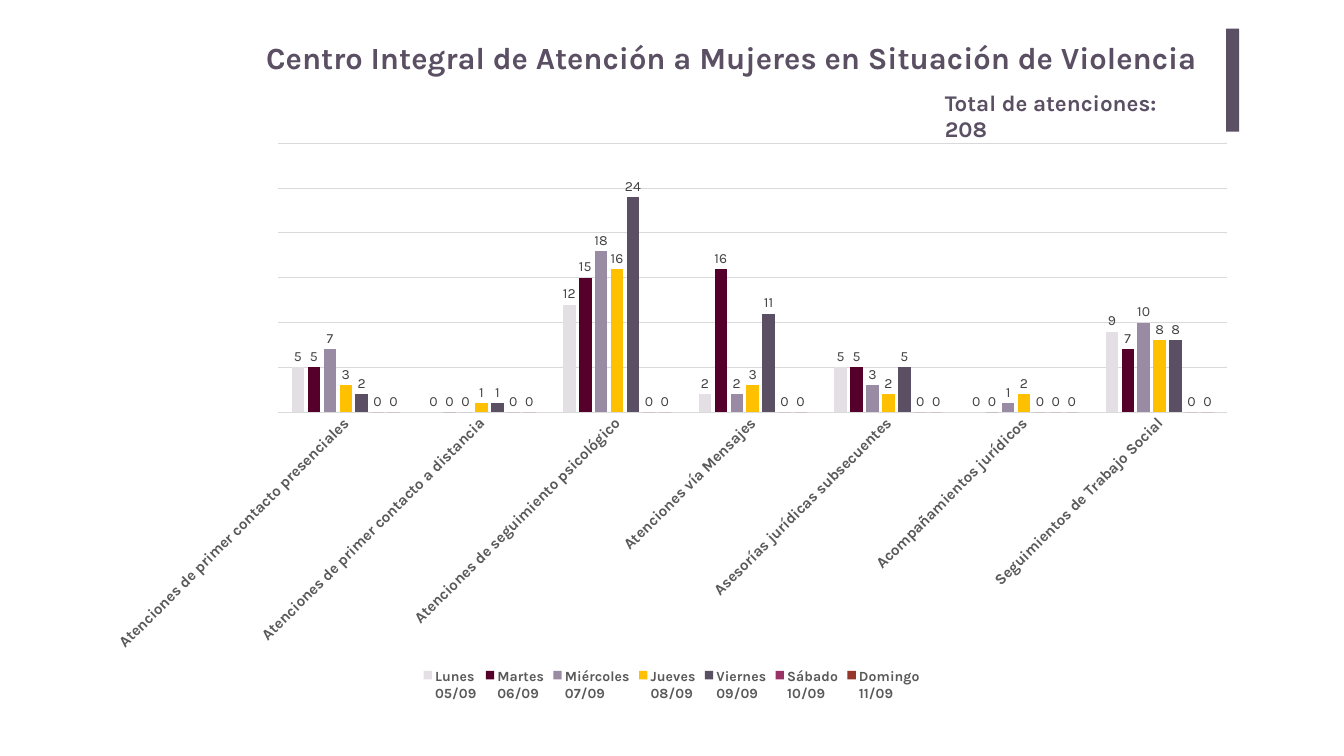
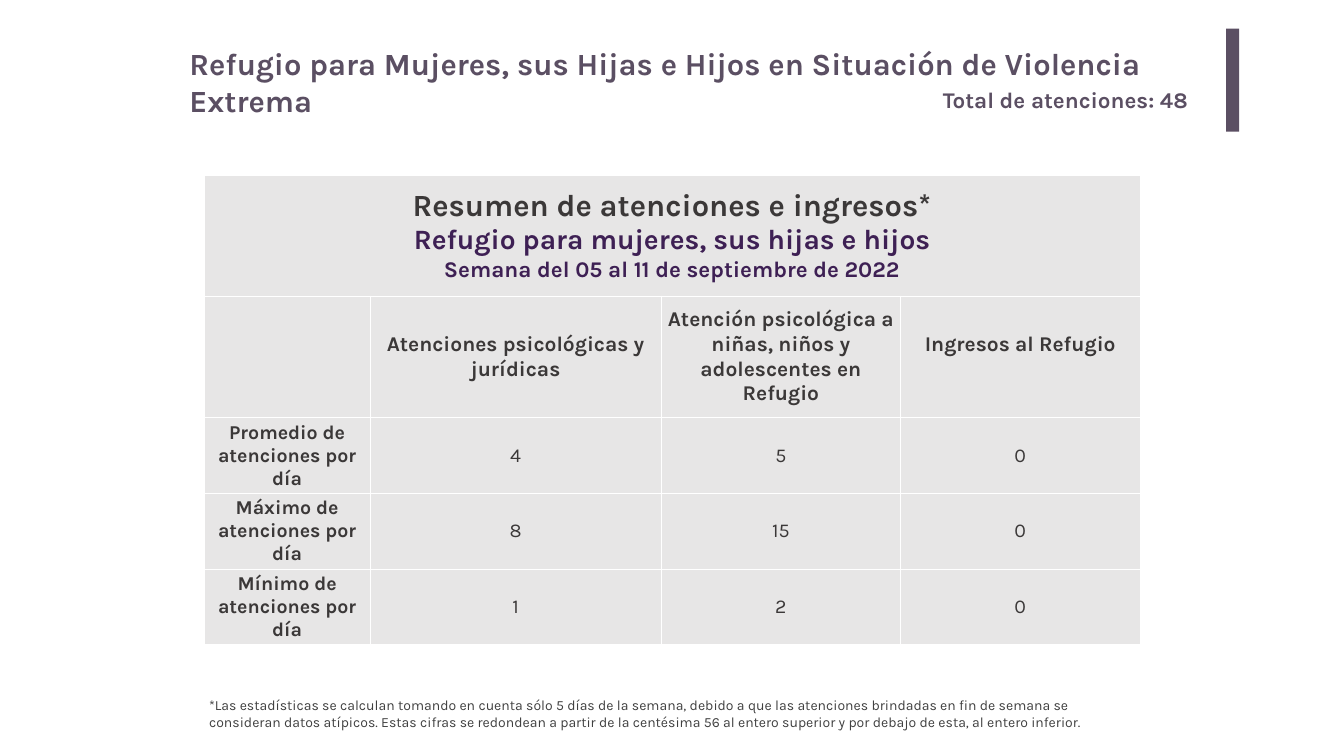
"""Builds two slides with the weekly care figures of a women's support centre and refuge."""
from dataclasses import dataclass
from typing import NamedTuple

import pptx
import pptx.chart.chart
import pptx.chart.data
import pptx.dml.color
import pptx.enum.chart
import pptx.enum.shapes
import pptx.enum.text
import pptx.oxml
import pptx.oxml.ns
import pptx.slide
import pptx.table
import pptx.text.text
import pptx.util

Align = pptx.enum.text.PP_ALIGN
SLIDE_WIDTH = pptx.util.Inches(26.67)
SLIDE_HEIGHT = pptx.util.Inches(15)
GRID = 100


@dataclass(frozen=True)
class Theme:
    """Font, colours and type sizes of the whole deck."""
    font: str = "Karla"
    background: str = "FFFFFF"
    accent: str = "5B4F63"
    violet: str = "3E2054"
    dark: str = "3B3838"
    note: str = "404040"
    axis_text: str = "595959"
    rule: str = "D9D9D9"
    cell: str = "E7E6E6"
    border: str = "FFFFFF"
    title_size: int = 44
    subtitle_size: int = 40
    total_size: int = 32
    header_size: int = 30
    body_size: int = 28
    category_size: int = 22
    small_size: int = 20


THEME = Theme()


class Area(NamedTuple):
    """Left, top, width and height in grid columns and rows."""
    left: float
    top: float
    width: float
    height: float

    def emu(self) -> tuple[int, int, int, int]:
        """Return the area in EMU."""
        return columns(self.left), rows(self.top), columns(self.width), rows(self.height)


class Style(NamedTuple):
    """Size, colour and weight of a piece of text."""
    size: int
    color: str
    bold: bool = True


@dataclass(frozen=True)
class TextBlock:
    """A text box on the slide."""
    text: str
    area: Area
    style: Style
    align: Align = Align.LEFT
    inset: float = 0.1
    grows: bool = True


@dataclass(frozen=True)
class Day:
    """One weekday with its colour and its count in each service."""
    name: str
    color: str
    counts: tuple[int, ...]


TITLE = Style(THEME.title_size, THEME.accent)
TOTAL = Style(THEME.total_size, THEME.accent)
NOTE = Style(THEME.small_size, THEME.note, False)
HEADER = Style(THEME.header_size, THEME.dark)
ROW_LABEL = Style(THEME.body_size, THEME.dark)
FIGURE = Style(THEME.body_size, THEME.dark, False)
SUMMARY_TITLE = [
    Style(THEME.title_size, THEME.dark),
    Style(THEME.subtitle_size, THEME.violet),
    Style(THEME.total_size, THEME.violet),
]

ACCENT_BAR = Area(91.23, 3.8, 0.97, 13.6)
CHART_AREA = Area(6.9, 17.4, 86.16, 75.8)
PLOT_SHARES = {"x": 0.16, "y": 0.02, "w": 0.82, "h": 0.47}
TABLE_AREA = Area(15.19, 23.13, 69.59, 62.13)
TABLE_COLUMNS = (12.34, 21.67, 17.81, 17.81)
TABLE_ROWS = (16, 16.13, 10, 10, 10)

CENTRE_TEXTS = [
    TextBlock("Centro Integral de Atención a Mujeres en Situación de Violencia",
              Area(13.72, 4.47, 76.12, 6.8), TITLE, Align.RIGHT, 0.2, False),
    TextBlock("Total de atenciones: 208", Area(69.93, 11.4, 19.91, 4.33), TOTAL),
]
REFUGE_TEXTS = [
    TextBlock("Total de atenciones: 48", Area(69.78, 11, 20.06, 4.27), TOTAL),
    TextBlock("Refugio para Mujeres, sus Hijas e Hijos en Situación de Violencia Extrema",
              Area(13.72, 5.6, 77.73, 5.6), TITLE),
    TextBlock("*Las estadísticas se calculan tomando en cuenta sólo 5 días de la semana, "
              "debido a que las atenciones brindadas en fin de semana se consideran datos "
              "atípicos. Estas cifras se redondean a partir de la centésima 56 al entero "
              "superior y por debajo de esta, al entero inferior.",
              Area(15.19, 91.8, 69.59, 5.13), NOTE),
]

SERVICES = [
    "Atenciones de primer contacto presenciales",
    "Atenciones de primer contacto a distancia",
    "Atenciones de seguimiento psicológico",
    "Atenciones vía Mensajes",
    "Asesorías jurídicas subsecuentes",
    "Acompañamientos jurídicos",
    "Seguimientos de Trabajo Social",
]
WEEK = [
    Day("Lunes\n05/09", "E3DFE5", (5, 0, 12, 2, 5, 0, 9)),
    Day("Martes\n06/09", "54002A", (5, 0, 15, 16, 5, 0, 7)),
    Day("Miércoles\n07/09", "998BA3", (7, 0, 18, 2, 3, 1, 10)),
    Day("Jueves\n08/09", "FFC000", (3, 1, 16, 3, 2, 2, 8)),
    Day("Viernes\n09/09", "5B4F63", (2, 1, 24, 11, 5, 0, 8)),
    Day("Sábado\n10/09", "993366", (0,) * 7),
    Day("Domingo\n11/09", "95372B", (0,) * 7),
]

SUMMARY_HEADING = ("Resumen de atenciones e ingresos*\n"
                   "Refugio para mujeres, sus hijas e hijos\n"
                   "Semana del 05 al 11 de septiembre de 2022")
SUMMARY_HEADERS = ("", "Atenciones psicológicas y jurídicas",
                   "Atención psicológica a niñas, niños y adolescentes en Refugio",
                   "Ingresos al Refugio")
SUMMARY_FIGURES = [
    ("Promedio de atenciones por día", "4", "5", "0"),
    ("Máximo de atenciones por día", "8", "15", "0"),
    ("Mínimo de atenciones por día", "1", "2", "0"),
]


def columns(count: float) -> int:
    """Return the width of some grid columns in EMU."""
    return round(SLIDE_WIDTH * count / GRID)


def rows(count: float) -> int:
    """Return the height of some grid rows in EMU."""
    return round(SLIDE_HEIGHT * count / GRID)


def rgb(value: str) -> pptx.dml.color.RGBColor:
    """Return a colour from its hex value."""
    return pptx.dml.color.RGBColor.from_string(value)


def apply_style(font: pptx.text.text.Font, style: Style) -> None:
    """Give a font the theme typeface and a style."""
    font.name = THEME.font
    font.size = pptx.util.Pt(style.size)
    font.bold = style.bold
    font.color.rgb = rgb(style.color)


def add_text(slide: pptx.slide.Slide, block: TextBlock) -> None:
    """Draw one text block."""
    frame = slide.shapes.add_textbox(*block.area.emu()).text_frame
    frame.word_wrap = True
    if block.grows:
        frame.auto_size = pptx.enum.text.MSO_AUTO_SIZE.SHAPE_TO_FIT_TEXT
    frame.margin_left = frame.margin_right = pptx.util.Inches(block.inset)
    frame.margin_top = frame.margin_bottom = pptx.util.Inches(block.inset / 2)
    frame.text = block.text
    paragraph = frame.paragraphs[0]
    paragraph.alignment = block.align
    apply_style(paragraph.runs[0].font, block.style)


def add_accent_bar(slide: pptx.slide.Slide) -> None:
    """Draw the vertical bar beside the title."""
    bar = slide.shapes.add_shape(pptx.enum.shapes.MSO_SHAPE.RECTANGLE, *ACCENT_BAR.emu())
    bar.shadow.inherit = False
    bar.fill.solid()
    bar.fill.fore_color.rgb = rgb(THEME.accent)
    bar.line.fill.background()


def place_plot(chart: pptx.chart.chart.Chart) -> None:
    """Fix the plot area and slant the service names."""
    for layout in chart.element.xpath("c:chart/c:plotArea/c:layout"):
        layout.getparent().remove(layout)
    shares = "".join(f'<c:{key} val="{share}"/>' for key, share in PLOT_SHARES.items())
    layout = pptx.oxml.parse_xml(
        f'<c:layout {pptx.oxml.ns.nsdecls("c")}><c:manualLayout>'
        '<c:layoutTarget val="inner"/><c:xMode val="edge"/><c:yMode val="edge"/>'
        f'{shares}</c:manualLayout></c:layout>')
    chart.element.xpath("c:chart/c:plotArea")[0].insert(0, layout)
    chart.element.xpath(".//c:catAx/c:txPr/a:bodyPr")[0].set("rot", "-2700000")


def add_services_chart(slide: pptx.slide.Slide) -> None:
    """Draw the daily counts of each service."""
    data = pptx.chart.data.CategoryChartData()
    data.categories = SERVICES
    for day in WEEK:
        data.add_series(day.name, day.counts)
    chart = slide.shapes.add_chart(
        pptx.enum.chart.XL_CHART_TYPE.COLUMN_CLUSTERED, *CHART_AREA.emu(), data).chart
    chart.has_title = False
    chart.font.name = THEME.font
    chart.font.size = pptx.util.Pt(10)

    chart.has_legend = True
    chart.legend.position = pptx.enum.chart.XL_LEGEND_POSITION.BOTTOM
    chart.legend.include_in_layout = False
    apply_style(chart.legend.font, Style(THEME.small_size, THEME.axis_text))

    services = chart.category_axis
    services.major_tick_mark = pptx.enum.chart.XL_TICK_MARK.NONE
    apply_style(services.tick_labels.font, Style(THEME.category_size, THEME.axis_text))
    counts = chart.value_axis
    counts.visible = False
    counts.minimum_scale, counts.maximum_scale, counts.major_unit = 0, 30, 5
    for line in (services.format.line, counts.major_gridlines.format.line):
        line.color.rgb = rgb(THEME.rule)
        line.width = pptx.util.Pt(0.75)

    plot = chart.plots[0]
    plot.vary_by_categories = False
    plot.gap_width, plot.overlap = 219, -27
    for day, series in zip(WEEK, plot.series):
        series.format.fill.solid()
        series.format.fill.fore_color.rgb = rgb(day.color)
        labels = series.data_labels
        labels.show_value = True
        labels.position = pptx.enum.chart.XL_LABEL_POSITION.OUTSIDE_END
        apply_style(labels.font, NOTE)
    place_plot(chart)


def fill_cell(cell: pptx.table._Cell, text: str, styles: list[Style]) -> None:
    """Write one table cell with a style for each paragraph."""
    cell.margin_left = cell.margin_right = cell.margin_top = cell.margin_bottom = 0
    cell.vertical_anchor = pptx.enum.text.MSO_ANCHOR.MIDDLE
    cell.text_frame.text = text
    for paragraph, style in zip(cell.text_frame.paragraphs, styles):
        paragraph.alignment = Align.CENTER
        for run in paragraph.runs:
            apply_style(run.font, style)
    properties = cell._tc.get_or_add_tcPr()
    for side in "LRTB":
        properties.append(pptx.oxml.parse_xml(
            f'<a:ln{side} {pptx.oxml.ns.nsdecls("a")} w="12700"><a:solidFill>'
            f'<a:srgbClr val="{THEME.border}"/></a:solidFill></a:ln{side}>'))
    cell.fill.solid()
    cell.fill.fore_color.rgb = rgb(THEME.cell)


def add_summary_table(slide: pptx.slide.Slide) -> None:
    """Draw the summary of care and admissions."""
    table = slide.shapes.add_table(
        len(TABLE_ROWS), len(TABLE_COLUMNS), *TABLE_AREA.emu()).table
    table.first_row = table.horz_banding = False
    for column, width in zip(table.columns, TABLE_COLUMNS):
        column.width = columns(width)
    for row, height in zip(table.rows, TABLE_ROWS):
        row.height = rows(height)
    contents = [(SUMMARY_HEADING, "", "", ""), SUMMARY_HEADERS, *SUMMARY_FIGURES]
    for row, texts in enumerate(contents):
        for column, text in enumerate(texts):
            body = [FIGURE] if column else [ROW_LABEL]
            styles = SUMMARY_TITLE if row == 0 else [HEADER] if row == 1 else body
            fill_cell(table.cell(row, column), text, styles)
    table.cell(0, 0).merge(table.cell(0, len(TABLE_COLUMNS) - 1))
    table.cell(1, 3).margin_bottom = rows(3.25)


def add_slide(deck: pptx.presentation.Presentation) -> pptx.slide.Slide:
    """Add a blank slide with the deck's background."""
    slide = deck.slides.add_slide(deck.slide_layouts[6])
    slide.background.fill.solid()
    slide.background.fill.fore_color.rgb = rgb(THEME.background)
    return slide


def main() -> None:
    """Build and save the deck."""
    deck = pptx.Presentation()
    deck.slide_width, deck.slide_height = SLIDE_WIDTH, SLIDE_HEIGHT
    for add_figures, texts in ((add_services_chart, CENTRE_TEXTS),
                               (add_summary_table, REFUGE_TEXTS)):
        slide = add_slide(deck)
        add_figures(slide)
        add_accent_bar(slide)
        for block in texts:
            add_text(slide, block)
    deck.save("out.pptx")


if __name__ == "__main__":
    main()
